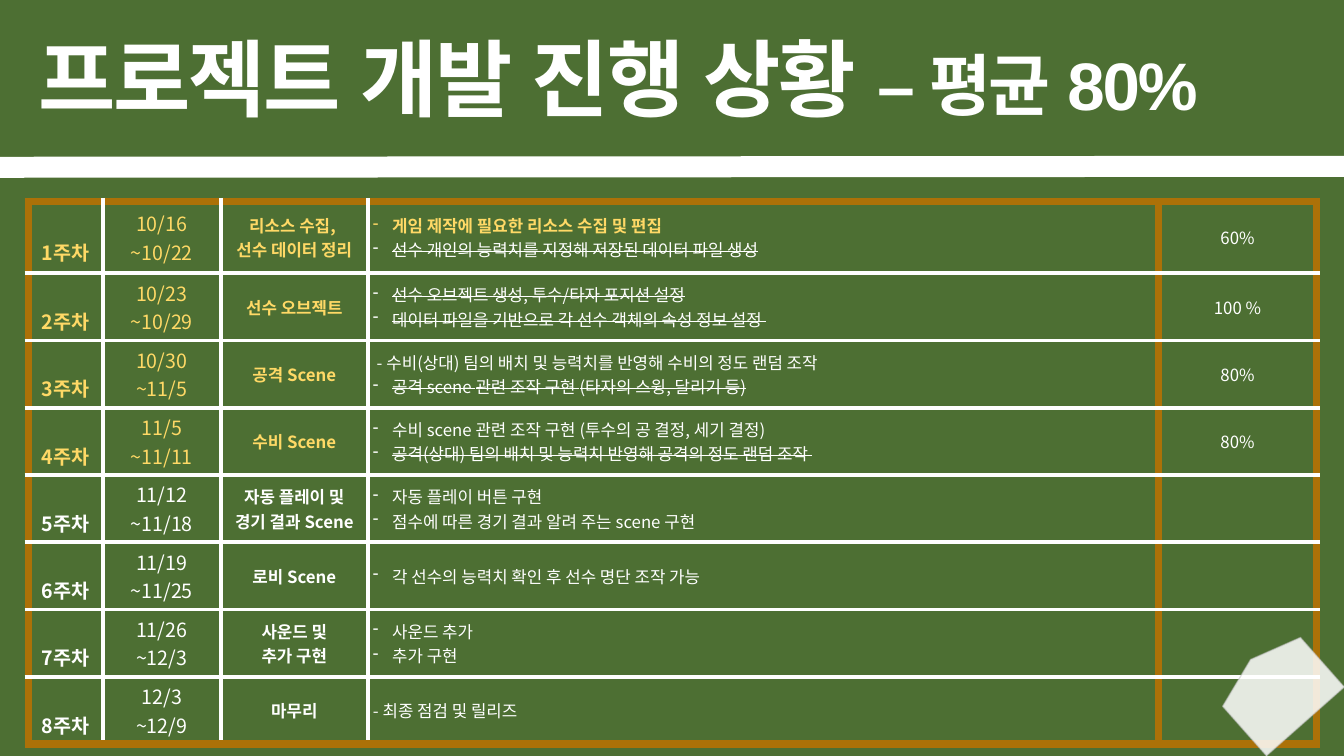
from lxml import etree
from pptx import Presentation
from pptx.dml.color import RGBColor
from pptx.enum.shapes import MSO_CONNECTOR, MSO_SHAPE
from pptx.enum.text import MSO_ANCHOR, PP_ALIGN
from pptx.oxml.ns import qn
from pptx.util import Inches, Pt

GREEN = RGBColor(0x4D, 0x6F, 0x33)
WHITE = RGBColor(0xFF, 0xFF, 0xFF)
YELLOW = RGBColor(0xFF, 0xD9, 0x66)
BROWN = RGBColor(0xAC, 0x71, 0x08)
GREY = RGBColor(0xBF, 0xBF, 0xBF)
BODY_FONT = "Noto Sans CJK KR"

# Content
TITLE = [("프로젝트 개발 진행 상황 ", 60), ("– 평균 80%", 48)]
OPEN, DONE, KEY, PLAIN = "open", "done", "key", "plain"  # task styles
# dates, topic lines, tasks, progress
WEEKS = [
    (["10/16", "~10/22"], ["리소스 수집, ", "선수 데이터 정리"],
     [("게임 제작에 필요한 리소스 수집 및 편집", KEY),
      ("선수 개인의 능력치를 지정해 저장된 데이터 파일 생성", DONE)], "60%"),
    (["10/23", "~10/29"], ["선수 오브젝트"],
     [("선수 오브젝트 생성, 투수/타자 포지션 설정", DONE),
      ("데이터 파일을 기반으로 각 선수 객체의 속성 정보 설정 ", DONE)], "100 %"),
    (["10/30", "~11/5"], ["공격 Scene"],
     [(" - 수비(상대) 팀의 배치 및 능력치를 반영해 수비의 정도 랜덤 조작", PLAIN),
      ("공격 scene 관련 조작 구현 (타자의 스윙, 달리기 등)", DONE)], "80%"),
    (["11/5", "~11/11"], ["수비 Scene"],
     [("수비 scene 관련 조작 구현 (투수의 공 결정, 세기 결정)", OPEN),
      ("공격(상대) 팀의 배치 및 능력치 반영해 공격의 정도 랜덤 조작 ", DONE)], "80%"),
    (["11/12", "~11/18"], ["자동 플레이 및", "경기 결과 Scene"],
     [("자동 플레이 버튼 구현", OPEN),
      ("점수에 따른 경기 결과 알려 주는 scene 구현", OPEN)], ""),
    (["11/19", "~11/25"], ["로비 Scene"],
     [("각 선수의 능력치 확인 후 선수 명단 조작 가능", OPEN)], ""),
    (["11/26", "~12/3"], ["사운드 및", "추가 구현"],
     [("사운드 추가", OPEN), ("추가 구현", OPEN)], ""),
    (["12/3", "~12/9"], ["마무리"], [("- 최종 점검 및 릴리즈", PLAIN)], ""),
]
STARTED_WEEKS = 4
COL_WIDTHS = [0.74, 1.17, 1.46, 7.84, 1.57]
ROW_HEIGHTS = [0.71] + [0.66] * (len(WEEKS) - 1)
TASK_COL, PROGRESS_COL = 3, 4


def add_run(p, text, size, color, bold=False, font=BODY_FONT):
    r = p.add_run()
    r.text = text
    r.font.size, r.font.bold, r.font.name = Pt(size), bold, font
    r.font.color.rgb = color
    etree.SubElement(r.font._element, qn("a:ea")).set("typeface", font)
    return r


def set_borders(cell, sides):
    tcPr = cell._tc.get_or_add_tcPr()
    for side, outer in sides:
        ln = etree.SubElement(tcPr, qn(f"a:ln{side}"), w=str(Pt(6 if outer else 3)))
        fill = etree.SubElement(ln, qn("a:solidFill"))
        etree.SubElement(fill, qn("a:srgbClr"), val=str(BROWN if outer else WHITE))


def add_dash(p):
    pPr = p._p.get_or_add_pPr()
    pPr.set("marL", str(Inches(0.19)))
    pPr.set("indent", str(-Inches(0.19)))
    etree.SubElement(pPr, qn("a:buFontTx"))
    etree.SubElement(pPr, qn("a:buChar"), char="-")


def add_lines(cell, lines, size, color, bold=False, spacing=None):
    tf = cell.text_frame
    for i, text in enumerate(lines):
        p = tf.add_paragraph() if i else tf.paragraphs[0]
        p.alignment = PP_ALIGN.CENTER
        if spacing:
            p.line_spacing = spacing
        add_run(p, text, size, color, bold)


def add_tasks(cell, tasks):
    tf = cell.text_frame
    for i, (text, style) in enumerate(tasks):
        p = tf.add_paragraph() if i else tf.paragraphs[0]
        if style != PLAIN:
            add_dash(p)
        key = style == KEY
        r = add_run(p, text, 12, YELLOW if key else WHITE, key)
        if style == DONE:
            r.font._element.set("strike", "sngStrike")


def set_alpha(fill, percent):
    clr = fill._xPr.find(".//" + qn("a:srgbClr"))
    etree.SubElement(clr, qn("a:alpha"), val=str(percent * 1000))


prs = Presentation()
prs.slide_width, prs.slide_height = Inches(13.33), Inches(7.5)
s = prs.slides.add_slide(prs.slide_layouts[5])
s.background.fill.solid()
s.background.fill.fore_color.rgb = GREEN

# Title
title = s.shapes.title
title.left, title.top = Inches(0.28), Inches(0.21)
title.width, title.height = Inches(12.87), Inches(1.11)
tf = title.text_frame
tf.word_wrap = True
tf.vertical_anchor = MSO_ANCHOR.MIDDLE
p = tf.paragraphs[0]
p.alignment = PP_ALIGN.LEFT
for text, size in TITLE:
    r = add_run(p, text, size, WHITE, True, "Arial")
    r.font._element.set("spc", "-150")

# Divider
divider = s.shapes.add_connector(MSO_CONNECTOR.STRAIGHT, Inches(-0.59), Inches(1.66),
                                 Inches(13.33), Inches(1.65))
divider.line.color.rgb = WHITE
divider.line.width = Pt(15)
etree.SubElement(divider._element.spPr, qn("a:effectLst"))

# Weekly schedule
rows, cols = len(WEEKS), len(COL_WIDTHS)
table = s.shapes.add_table(rows, cols, Inches(0.28), Inches(2), Inches(sum(COL_WIDTHS)),
                           Inches(sum(ROW_HEIGHTS))).table
table.first_row = table.horz_banding = False
for column, width in zip(table.columns, COL_WIDTHS):
    column.width = Inches(width)
for row, height in zip(table.rows, ROW_HEIGHTS):
    row.height = Inches(height)

for i, (dates, topic, tasks, progress) in enumerate(WEEKS):
    for j in range(cols):
        cell = table.cell(i, j)
        cell.vertical_anchor = MSO_ANCHOR.MIDDLE
        if j >= TASK_COL:
            cell.margin_left = cell.margin_right = Inches(0.05)
        set_borders(cell, [("L", j in (0, PROGRESS_COL)), ("R", j >= TASK_COL),
                           ("T", i == 0), ("B", i == rows - 1)])
        cell.fill.solid()
        cell.fill.fore_color.rgb = GREEN
    color = YELLOW if i < STARTED_WEEKS else WHITE
    add_lines(table.cell(i, 0), [f"{i + 1}주차"], 14, color, True, 2.0)
    add_lines(table.cell(i, 1), dates, 14, color)
    add_lines(table.cell(i, 2), topic, 12, color, True)
    add_tasks(table.cell(i, TASK_COL), tasks)
    if progress:
        add_lines(table.cell(i, PROGRESS_COL), [progress], 12, WHITE)

# Home plate
plate = s.shapes.add_shape(MSO_SHAPE.FLOWCHART_OFFPAGE_CONNECTOR, Inches(12.16),
                           Inches(6.44), Inches(1.03), Inches(0.82))
plate.rotation = 138.5
plate.shadow.inherit = False
plate.fill.solid()
plate.fill.fore_color.rgb = WHITE
set_alpha(plate.fill, 85)
plate.line.color.rgb = GREY
plate.line.width = Pt(1)
set_alpha(plate.line.fill, 49)

prs.save("out.pptx")
